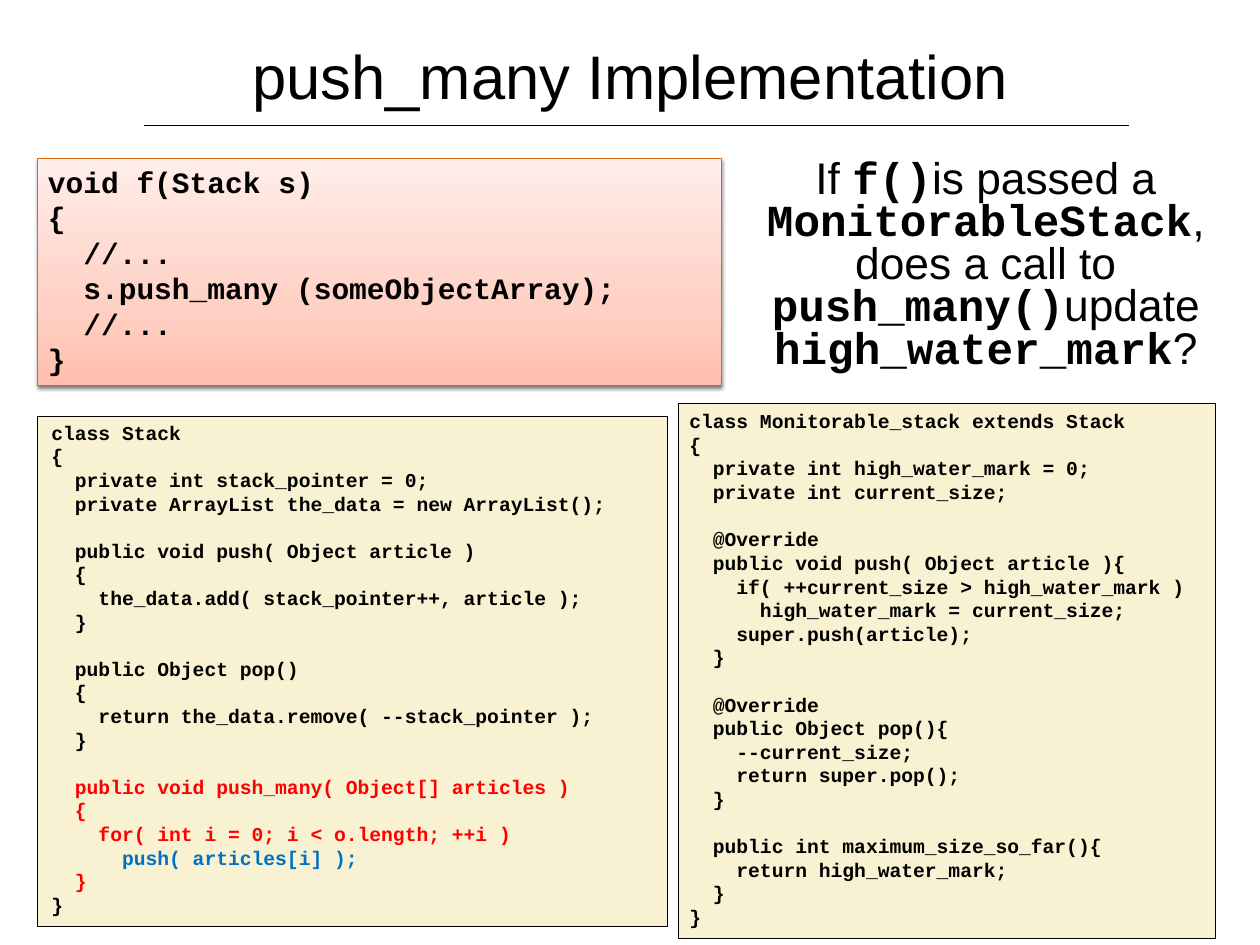
from copy import deepcopy
from dataclasses import dataclass

from lxml.etree import SubElement
from pptx import Presentation
from pptx.dml.color import RGBColor
from pptx.enum.shapes import MSO_CONNECTOR, MSO_SHAPE
from pptx.enum.text import MSO_ANCHOR, PP_ALIGN
from pptx.oxml.ns import qn
from pptx.util import Pt

EMU_PER_PX = 9144


@dataclass(frozen=True)
class Theme:
    text_font: str = "Arial"
    code_font: str = "Courier New"
    title_size: int = 50
    question_size: int = 36
    call_size: int = 24
    class_size: int = 16
    ink: str = "000000"
    changed: str = "FF0000"
    call: str = "0070C0"
    paper: str = "F8F2D3"
    call_border: str = "DE670B"
    call_gradient: tuple = ((0, "FFBEAD"), (0.35, "FFD1C5"), (1, "FFEDE9"))


THEME = Theme()

CALLER = """void f(Stack s)
{
  //...
  s.push_many (someObjectArray);
  //...
}"""

MONITORABLE_STACK = """class Monitorable_stack extends Stack
{
  private int high_water_mark = 0;
  private int current_size;

  @Override
  public void push( Object article ){
    if( ++current_size > high_water_mark )
      high_water_mark = current_size;
    super.push(article);
  }

  @Override
  public Object pop(){
    --current_size;
    return super.pop();
  }

  public int maximum_size_so_far(){
    return high_water_mark;
  }
}"""

STACK = """class Stack
{
  private int stack_pointer = 0;
  private ArrayList the_data = new ArrayList();

  public void push( Object article )
  {
    the_data.add( stack_pointer++, article );
  }

  public Object pop()
  {
    return the_data.remove( --stack_pointer );
  }
"""

PUSH_MANY = """  public void push_many( Object[] articles )
  {
    for( int i = 0; i < o.length; ++i )"""

# Each pair is a piece of text and whether it is code.
QUESTION = [
    ("If ", False), ("f()", True), ("is passed a ", False),
    ("MonitorableStack", True), (", does a call to ", False),
    ("push_many()", True), ("update ", False),
    ("high_water_mark", True), ("?", False),
]


def px(*lengths):
    return [length * EMU_PER_PX for length in lengths]


def color(value):
    return RGBColor.from_string(value)


def style_font(font, name, size, ink, bold=False):
    font.name, font.size, font.bold = name, Pt(size), bold
    font.color.rgb = color(ink)


def set_frame(shape, left, right, top, anchor=MSO_ANCHOR.TOP):
    """Turn on wrapping, set the insets in px and return the text frame."""
    frame = shape.text_frame
    frame.word_wrap = True
    frame.vertical_anchor = anchor
    frame.margin_left, frame.margin_right = px(left, right)
    frame.margin_top = frame.margin_bottom = top * EMU_PER_PX
    return frame


def add_title(slide, text, box):
    shape = slide.shapes.add_textbox(*px(*box))
    paragraph = set_frame(shape, 6, 6, 6, MSO_ANCHOR.MIDDLE).paragraphs[0]
    paragraph.text = text
    paragraph.alignment = PP_ALIGN.CENTER
    style_font(paragraph.font, THEME.text_font, THEME.title_size, THEME.ink)


def add_rule(slide, left, right, y):
    rule = slide.shapes.add_connector(MSO_CONNECTOR.STRAIGHT, *px(left, y, right, y))
    rule.line.color.rgb = color(THEME.ink)
    rule.line.width = Pt(1)
    SubElement(rule._element.spPr, qn("a:effectLst"))


def add_question(slide, pieces, box):
    shape = slide.shapes.add_textbox(*px(*box))
    paragraph = set_frame(shape, 10, 10, 5).paragraphs[0]
    paragraph.alignment = PP_ALIGN.CENTER
    paragraph.line_spacing = 0.8
    for text, is_code in pieces:
        run = paragraph.add_run()
        run.text = text
        name = THEME.code_font if is_code else THEME.text_font
        style_font(run.font, name, THEME.question_size, THEME.ink, is_code)


def add_code_box(slide, sections, box, size, border=THEME.ink, width=1, inset=(12, 6, 6)):
    """Add a panel of code; each section is its lines and their colour."""
    shape = slide.shapes.add_shape(MSO_SHAPE.RECTANGLE, *px(*box))
    shape.shadow.inherit = False
    shape.fill.solid()
    shape.fill.fore_color.rgb = color(THEME.paper)
    shape.line.color.rgb = color(border)
    shape.line.width = Pt(width)
    frame = set_frame(shape, *inset)
    lines = [(line, ink) for code, ink in sections for line in code.split("\n")]
    for index, (line, ink) in enumerate(lines):
        paragraph = frame.add_paragraph() if index else frame.paragraphs[0]
        paragraph.text = line
        paragraph.alignment = PP_ALIGN.LEFT
        style_font(paragraph.font, THEME.code_font, size, ink, True)
    return shape


def fill_upward(shape, stops):
    """Fill with a gradient that runs from the bottom edge to the top."""
    shape.fill.gradient()
    shape.fill.gradient_angle = 90
    stop_list = shape.fill._fill._gradFill.gsLst
    while len(stop_list) < len(stops):
        stop_list.append(deepcopy(stop_list[0]))
    for stop, (position, value) in zip(shape.fill.gradient_stops, stops):
        stop.position = position
        stop.color.rgb = color(value)


def add_drop_shadow(shape):
    effects = shape._element.spPr.find(qn("a:effectLst"))
    shadow = SubElement(effects, qn("a:outerShdw"), blurRad=str(Pt(3)),
                        dist=str(Pt(2)), dir="5400000", rotWithShape="0")
    ink = SubElement(shadow, qn("a:srgbClr"), val=THEME.ink)
    SubElement(ink, qn("a:alpha"), val="50000")


def main():
    presentation = Presentation()
    presentation.slide_width, presentation.slide_height = px(1422, 1067)
    slide = presentation.slides.add_slide(presentation.slide_layouts[6])

    add_rule(slide, 162, 1274, 142)
    add_title(slide, "push_many Implementation", (71, 0, 1281, 169))
    caller = add_code_box(slide, [(CALLER, THEME.ink)], (42, 179, 772, 256),
                          THEME.call_size, THEME.call_border, 0.75)
    fill_upward(caller, THEME.call_gradient)
    add_drop_shadow(caller)
    add_question(slide, QUESTION, (845, 176, 535, 255))
    add_code_box(slide, [(MONITORABLE_STACK, THEME.ink)], (766, 456, 606, 604),
                 THEME.class_size)
    stack = [
        (STACK, THEME.ink),
        (PUSH_MANY, THEME.changed),
        ("      push( articles[i] );", THEME.call),
        ("  }", THEME.changed),
        ("}", THEME.ink),
    ]
    add_code_box(slide, stack, (42, 470, 711, 576), THEME.class_size,
                 width=0.75, inset=(16, 10, 5))
    presentation.save("out.pptx")


if __name__ == "__main__":
    main()
